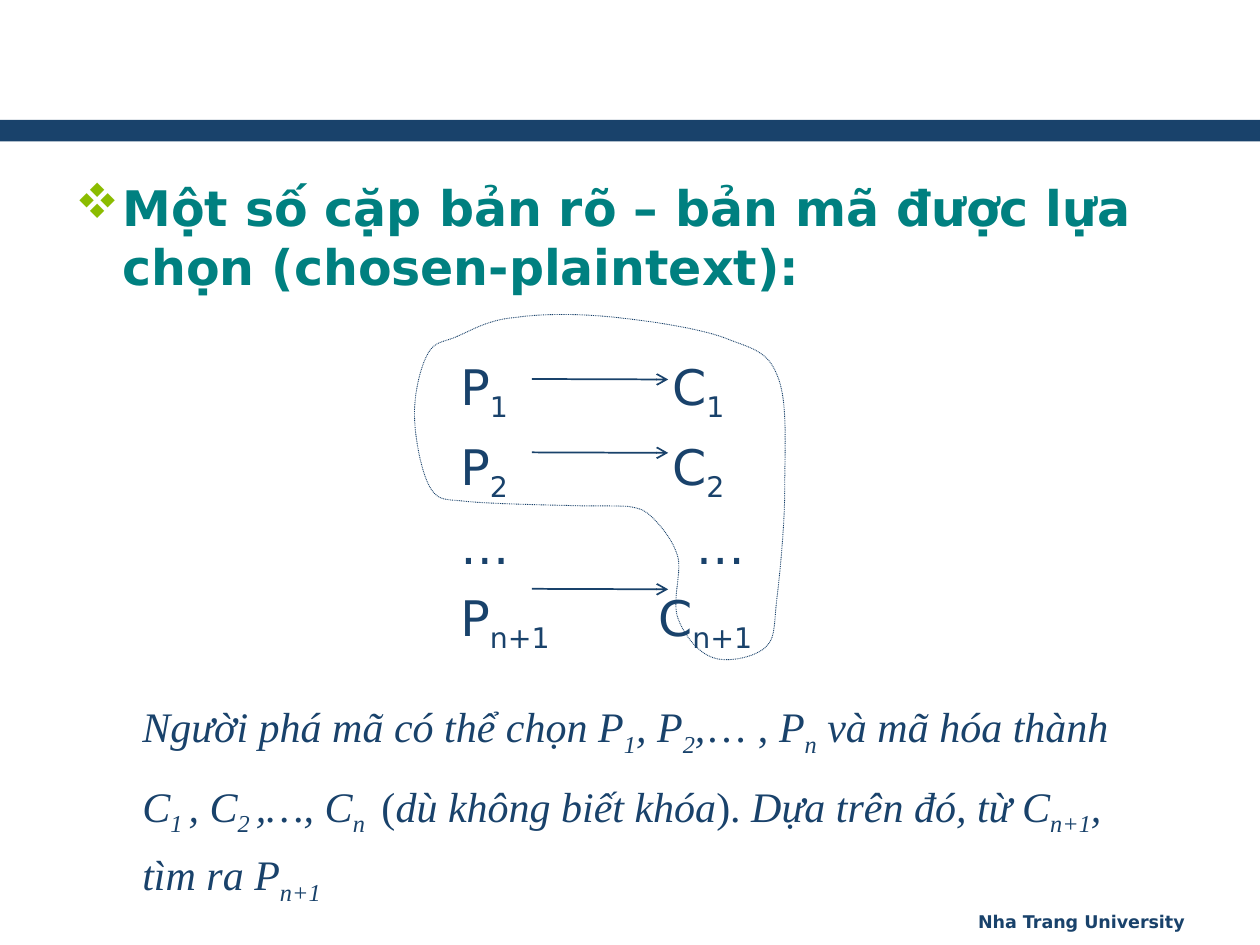
from typing import NamedTuple

from lxml.etree import SubElement
from pptx import Presentation
from pptx.dml.color import RGBColor
from pptx.enum.dml import MSO_LINE
from pptx.enum.shapes import MSO_CONNECTOR, MSO_SHAPE
from pptx.enum.text import PP_ALIGN
from pptx.oxml.ns import qn
from pptx.util import Cm, Pt

NAVY = RGBColor(0x19, 0x42, 0x6B)
TEAL = RGBColor(0x00, 0x80, 0x80)
LIME = RGBColor(0x8B, 0xBC, 0x00)
SANS, SERIF = "DejaVu Sans", "Times New Roman"


class Box(NamedTuple):
    left: float
    top: float
    width: float
    height: float


class Piece(NamedTuple):
    text: str
    sub: bool = False
    italic: bool = False


class Pair(NamedTuple):
    plain: str
    cipher: str
    index: str
    tab: float  # cipher column, from the left of the text


class Curve(NamedTuple):
    control_1: tuple
    control_2: tuple
    end: tuple


PAIRS = [
    Pair("P", "C", "1", 4.27),
    Pair("P", "C", "2", 4.27),
    Pair("…", "…", "", 4.75),
    Pair("P", "C", "n+1", 3.99),
]
ARROW_HEIGHTS = [7.64, 9.12, 11.87]


def it(text: str) -> Piece:
    return Piece(text, italic=True)


def sub(text: str) -> Piece:
    return Piece(text, sub=True, italic=True)


EXPLANATION = [
    [it("Người phá mã có thể chọn P"), sub("1"), it(", P"), sub("2"), it(","),
     Piece("… , "), it("P"), sub("n"), it(" và mã hóa thành")],
    [it("C"), sub("1 "), it(", C"), sub("2 "), it(",…, C"), sub("n "),
     Piece(" ("), it("dù không biết khóa"), Piece("). "),
     it("Dựa trên đó, từ C"), sub("n+1"), it(", tìm ra P"), sub("n+1")],
]

OUTLINE_BOX = Box(8.33, 6.32, 7.54, 7.04)
OUTLINE_START = (9.22, 6.78)
OUTLINE = [
    Curve((8.94, 6.91), (8.76, 6.86), (8.61, 7.16)),
    Curve((8.46, 7.44), (8.33, 8.03), (8.36, 8.48)),
    Curve((8.38, 8.92), (8.51, 9.58), (8.69, 9.86)),
    Curve((8.86, 10.11), (8.99, 10.06), (9.42, 10.11)),
    Curve((9.88, 10.16), (11.43, 10.19), (11.43, 10.19)),
    Curve((11.96, 10.21), (12.37, 10.19), (12.67, 10.21)),
    Curve((12.95, 10.26), (13.0, 10.29), (13.16, 10.44)),
    Curve((13.34, 10.62), (13.59, 10.92), (13.67, 11.25)),
    Curve((13.74, 11.58), (13.54, 12.12), (13.67, 12.47)),
    Curve((13.79, 12.8), (14.07, 13.16), (14.38, 13.26)),
    Curve((14.66, 13.36), (15.19, 13.26), (15.42, 13.06)),
    Curve((15.62, 12.88), (15.6, 12.7), (15.65, 12.17)),
    Curve((15.72, 11.61), (15.82, 10.59), (15.82, 9.86)),
    Curve((15.82, 9.09), (15.88, 8.15), (15.7, 7.65)),
    Curve((15.52, 7.14), (15.29, 7.06), (14.73, 6.86)),
    Curve((14.2, 6.63), (13.16, 6.48), (12.42, 6.4)),
    Curve((11.68, 6.32), (10.95, 6.32), (10.39, 6.4)),
    Curve((9.83, 6.45), (9.53, 6.65), OUTLINE_START),
]


def add_text(slide, box: Box):
    frame = slide.shapes.add_textbox(*map(Cm, box)).text_frame
    frame.word_wrap = True
    return frame


def next_paragraph(frame, index: int):
    return frame.add_paragraph() if index else frame.paragraphs[0]


def style(font, name: str, size: float, color: RGBColor, bold: bool = False) -> None:
    font.name, font.size, font.bold = name, Pt(size), bold
    font.color.rgb = color


def add_pieces(paragraph, pieces: list[Piece], name: str, size: float) -> None:
    for piece in pieces:
        run = paragraph.add_run()
        run.text = piece.text
        style(run.font, name, size, NAVY)
        run.font.italic = piece.italic
        if piece.sub:
            run.font._element.set("baseline", "-25000")


def add_arrow(slide, left: float, right: float, height: float) -> None:
    arrow = slide.shapes.add_connector(
        MSO_CONNECTOR.STRAIGHT, Cm(left), Cm(height), Cm(right), Cm(height + 0.01))
    arrow.line.color.rgb = NAVY
    arrow.line.width = Pt(1)
    SubElement(arrow.line._get_or_add_ln(), qn("a:tailEnd"), type="arrow")
    SubElement(arrow._element.spPr, qn("a:effectLst"))


def add_curved_outline(slide, box: Box, start: tuple, curves: list[Curve]):
    """Frame a freeform by its box, then give its path cubic curves."""
    left, top, width, height = map(Cm, box)
    builder = slide.shapes.build_freeform(left, top)
    builder.add_line_segments([(left + width, top), (left + width, top + height),
                               (left, top + height)])
    shape = builder.convert_to_shape()
    path = next(shape._element.iter(qn("a:path")))
    for segment in list(path):
        path.remove(segment)

    def add_segment(tag: str, *points: tuple) -> None:
        segment = SubElement(path, qn(tag))
        for x, y in points:
            SubElement(segment, qn("a:pt"), x=str(Cm(x) - left), y=str(Cm(y) - top))

    add_segment("a:moveTo", start)
    for curve in curves:
        add_segment("a:cubicBezTo", *curve)
    add_segment("a:close")
    return shape


def main() -> None:
    deck = Presentation()
    deck.slide_width, deck.slide_height = Cm(25.4), Cm(19.05)
    slide = deck.slides.add_slide(deck.slide_layouts[6])

    # Header band
    band = slide.shapes.add_shape(
        MSO_SHAPE.RECTANGLE, Cm(0), Cm(2.42), Cm(25.4), Cm(0.43))
    band.shadow.inherit = False
    band.fill.solid()
    band.fill.fore_color.rgb = NAVY
    band.line.fill.background()

    # Bulleted heading
    frame = add_text(slide, Box(1.27, 3.45, 22.86, 2.9))
    frame.text = "Một số cặp bản rõ – bản mã được lựa chọn (chosen-plaintext):"
    heading = frame.paragraphs[0]
    properties = heading._p.get_or_add_pPr()
    properties.set("marL", str(Cm(0.95)))
    properties.set("indent", str(-Cm(0.95)))
    bullet_color = SubElement(properties, qn("a:buClr"))
    SubElement(bullet_color, qn("a:srgbClr"), val=str(LIME))
    SubElement(properties, qn("a:buFont"), typeface="Wingdings", charset="2")
    SubElement(properties, qn("a:buChar"), char="v")
    style(heading.runs[0].font, SANS, 28, TEAL, bold=True)

    # Footer
    frame = add_text(slide, Box(17.58, 18.24, 6.55, 0.69))
    frame.text = "Nha Trang University"
    frame.paragraphs[0].alignment = PP_ALIGN.RIGHT
    style(frame.paragraphs[0].runs[0].font, SANS, 10, NAVY, bold=True)

    # Plaintext and ciphertext pairs
    frame = add_text(slide, Box(9.03, 6.79, 7.19, 5.72))
    for index, pair in enumerate(PAIRS):
        paragraph = next_paragraph(frame, index)
        paragraph.line_spacing = 1.2
        tabs = SubElement(paragraph._p.get_or_add_pPr(), qn("a:tabLst"))
        SubElement(tabs, qn("a:tab"), pos=str(Cm(pair.tab)), algn="l")
        pieces = [Piece(pair.plain), Piece(pair.index, sub=True),
                  Piece("\t" + pair.cipher), Piece(pair.index, sub=True)]
        add_pieces(paragraph, [p for p in pieces if p.text], SANS, 28)
    for height in ARROW_HEIGHTS:
        add_arrow(slide, 10.72, 13.47, height)

    # Dotted outline around what the attacker knows
    outline = add_curved_outline(slide, OUTLINE_BOX, OUTLINE_START, OUTLINE)
    outline.shadow.inherit = False
    outline.fill.background()
    outline.line.color.rgb = NAVY
    outline.line.width = Pt(0.5)
    outline.line.dash_style = MSO_LINE.ROUND_DOT

    # Explanation
    frame = add_text(slide, Box(2.62, 13.77, 20.96, 4.24))
    for index, pieces in enumerate(EXPLANATION):
        paragraph = next_paragraph(frame, index)
        paragraph.line_spacing = 1.2
        if index:
            paragraph.space_before = Pt(6)
        add_pieces(paragraph, pieces, SERIF, 24)

    deck.save("out.pptx")


if __name__ == "__main__":
    main()
